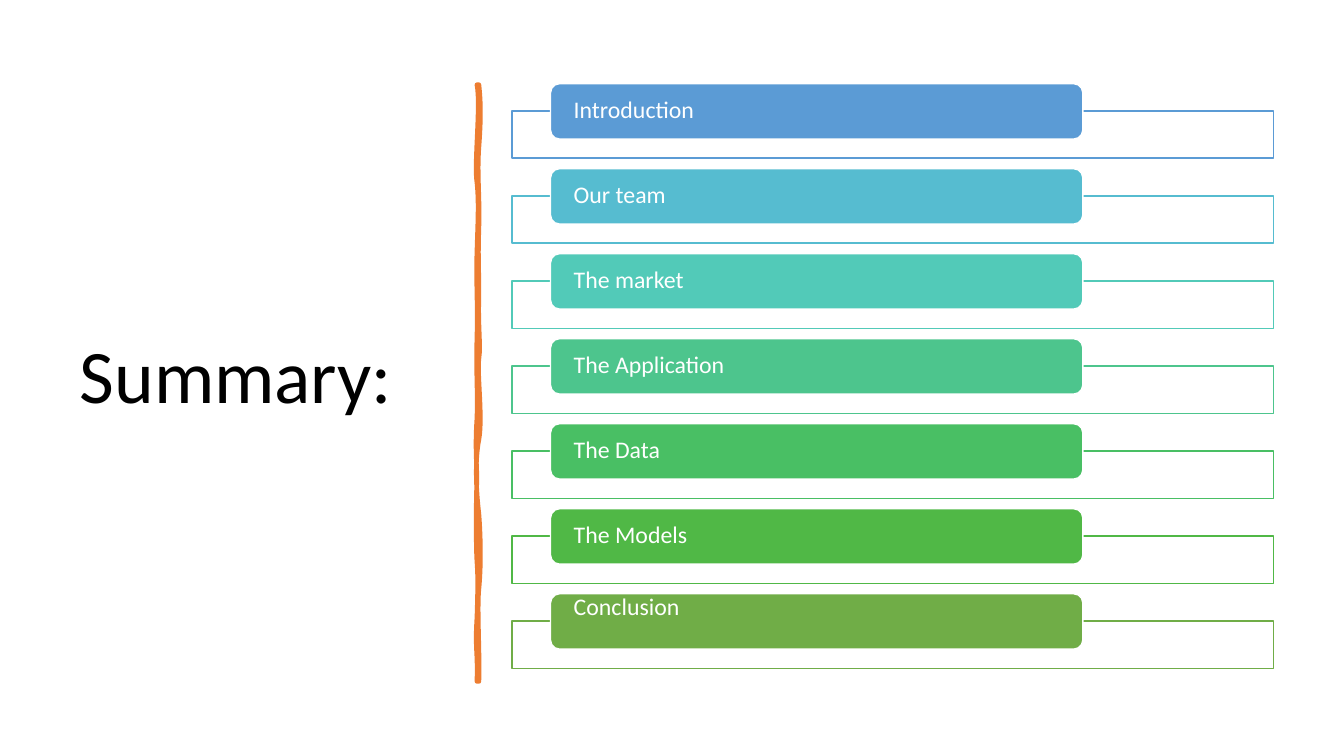
from lxml.etree import SubElement
from pptx import Presentation
from pptx.dml.color import RGBColor
from pptx.enum.shapes import MSO_SHAPE
from pptx.enum.text import MSO_ANCHOR, PP_ALIGN
from pptx.oxml.ns import qn
from pptx.util import Inches, Pt

WHITE, ORANGE = "FFFFFF", "ED7D31"
TOPICS = [
    ("Introduction", "5B9BD5"),
    ("Our team", "56BCD0"),
    ("The market", "52CAB8"),
    ("The Application", "4DC58D"),
    ("The Data", "49BF64"),
    ("The Models", "50B846"),
    ("Conclusion", "70AD47"),
]
FIRST_TOP, TOPIC_STEP = 0.83, 5.06 / 6
LEFT, RIGHT, TOP, BOTTOM = 4.73, 4.75, 0.84, 6.76
STROKE_CURVES = [
    (4.77, 1.02, 4.77, 1.19, 4.75, 1.46), (4.73, 1.73, 4.76, 1.95, 4.75, 2.26),
    (4.74, 2.57, 4.75, 2.62, 4.75, 2.94), (4.74, 3.25, 4.77, 3.42, 4.75, 3.56),
    (4.73, 3.7, 4.79, 4.14, 4.75, 4.36), (4.71, 4.57, 4.72, 4.84, 4.75, 5.1),
    (4.77, 5.36, 4.77, 5.64, 4.75, 5.84), (4.73, 6.03, 4.76, 6.5, 4.75, 6.76),
    (4.74, 6.76, 4.73, 6.76, 4.73, 6.76), (4.74, 6.46, 4.71, 6.44, 4.73, 6.13),
    (4.74, 5.83, 4.74, 5.7, 4.73, 5.57), (4.72, 5.44, 4.72, 4.95, 4.73, 4.77),
    (4.73, 4.59, 4.71, 4.45, 4.73, 4.15), (4.74, 3.86, 4.72, 3.73, 4.73, 3.35),
    (4.74, 2.98, 4.72, 2.81, 4.73, 2.5), (4.74, 2.18, 4.75, 2, 4.73, 1.81),
    (4.7, 1.63, 4.77, 1.04, 4.73, 0.84), (4.74, 0.84, 4.74, 0.84, 4.75, 0.84),
]
FILL_CURVES = [
    (4.75, 1.15, 4.72, 1.25, 4.75, 1.52), (4.77, 1.79, 4.74, 1.97, 4.75, 2.08),
    (4.76, 2.2, 4.74, 2.55, 4.75, 2.94), (4.76, 3.33, 4.73, 3.43, 4.75, 3.62),
    (4.77, 3.81, 4.77, 3.97, 4.75, 4.3), (4.72, 4.63, 4.75, 4.74, 4.75, 5.16),
    (4.75, 5.57, 4.74, 5.53, 4.75, 5.78), (4.76, 6.03, 4.74, 6.47, 4.75, 6.76),
    (4.74, 6.75, 4.73, 6.75, 4.73, 6.76), (4.7, 6.49, 4.74, 6.32, 4.73, 6.13),
    (4.72, 5.95, 4.75, 5.69, 4.73, 5.39), (4.71, 5.1, 4.76, 5, 4.73, 4.71),
    (4.7, 4.42, 4.77, 4.2, 4.73, 3.86), (4.69, 3.51, 4.74, 3.25, 4.73, 3),
    (4.71, 2.75, 4.71, 2.59, 4.73, 2.38), (4.74, 2.16, 4.74, 1.85, 4.73, 1.64),
    (4.71, 1.43, 4.75, 1.21, 4.73, 0.84), (4.74, 0.84, 4.74, 0.84, 4.75, 0.84),
]


def color(value):
    """Turn a hex string into a colour."""
    return RGBColor.from_string(value)


def set_attributes(target, values):
    """Set each named format value on the target."""
    for name, value in values.items():
        setattr(target, name, value)


def paint(shape, fill, line, width=1):
    """Give a shape its fill and line, without a shadow."""
    shape.shadow.inherit = False
    shape.fill.solid()
    shape.fill.fore_color.rgb = color(fill)
    shape.line.color.rgb = color(line)
    shape.line.width = Pt(width)


def write(shape, text, size, ink, margins):
    """Write one left-aligned paragraph, centred in height."""
    frame = shape.text_frame
    set_attributes(frame, {"word_wrap": True, "vertical_anchor": MSO_ANCHOR.MIDDLE, **margins})
    para = frame.paragraphs[0]
    set_attributes(para, {"alignment": PP_ALIGN.LEFT, "line_spacing": 0.9})
    span = para.add_run()
    span.text = text
    set_attributes(span.font, {"name": "Calibri", "size": Pt(size)})
    span.font.color.rgb = color(ink)


def add_box(shapes, kind, left, top, width, height, fill, line):
    """Add a painted preset shape."""
    box = shapes.add_shape(kind, Inches(left), Inches(top), Inches(width), Inches(height))
    paint(box, fill, line)
    return box


def add_topic(shapes, top, text, accent, lift):
    """Add an outlined frame, a coloured bar and its label, raised by half the lift."""
    frame = add_box(shapes, MSO_SHAPE.RECTANGLE, 5.08, top + 0.27, 7.55, 0.47, WHITE, accent)
    tint = frame.fill._xPr.find(qn("a:solidFill"))[0]
    SubElement(tint, qn("a:alpha"), val="90000")
    add_box(shapes, MSO_SHAPE.ROUNDED_RECTANGLE, 5.46, top, 5.28, 0.55, accent, WHITE)
    label = shapes.add_textbox(Inches(5.49), Inches(top + 0.02), Inches(5.23), Inches(0.5))
    write(label, text, 17, WHITE, {
        "margin_left": Inches(0.2), "margin_right": Inches(0.2),
        "margin_top": 0, "margin_bottom": Inches(lift)})


def add_curves(paths, curves, size, **options):
    """Add one closed path of cubic curves to the divider."""
    outline = SubElement(paths, qn("a:path"), **size, **options)
    start = SubElement(outline, qn("a:moveTo"))
    targets = [(start, (RIGHT, TOP))]
    targets += [(SubElement(outline, qn("a:cubicBezTo")), curve) for curve in curves]
    for command, values in targets:
        for x, y in zip(values[::2], values[1::2]):
            SubElement(command, qn("a:pt"), x=str(Inches(x) - Inches(LEFT)),
                       y=str(Inches(y) - Inches(TOP)))
    SubElement(outline, qn("a:close"))


def add_divider(page):
    """Add the hand-drawn divider as one freeform with two paths."""
    builder = page.shapes.build_freeform(Inches(RIGHT), Inches(TOP))
    builder.add_line_segments([(Inches(LEFT), Inches(BOTTOM))])
    divider = builder.convert_to_shape()
    paint(divider, ORANGE, ORANGE, 3.25)
    paths = next(divider._element.iter(qn("a:pathLst")))
    size = {name: paths[0].get(name) for name in ("w", "h")}
    paths.remove(paths[0])
    add_curves(paths, STROKE_CURVES, size, fill="none")
    add_curves(paths, FILL_CURVES, size, stroke="0")


def add_title(page, text):
    """Place and format the slide title."""
    title = page.shapes.title
    set_attributes(title, {"left": Inches(0.69), "top": Inches(0.7),
                           "width": Inches(3.74), "height": Inches(6.11)})
    write(title, text, 54, "000000", {})


def main():
    """Build the summary slide."""
    deck = Presentation()
    set_attributes(deck, {"slide_width": Inches(13.33), "slide_height": Inches(7.5)})
    page = deck.slides.add_slide(deck.slide_layouts[5])
    add_title(page, "Summary:")
    add_divider(page)
    topics = page.shapes.add_group_shape().shapes
    for index, (text, accent) in enumerate(TOPICS):
        lift = 0.26 if text == "Conclusion" else 0
        add_topic(topics, FIRST_TOP + index * TOPIC_STEP, text, accent, lift)
    deck.save("out.pptx")


if __name__ == "__main__":
    main()
